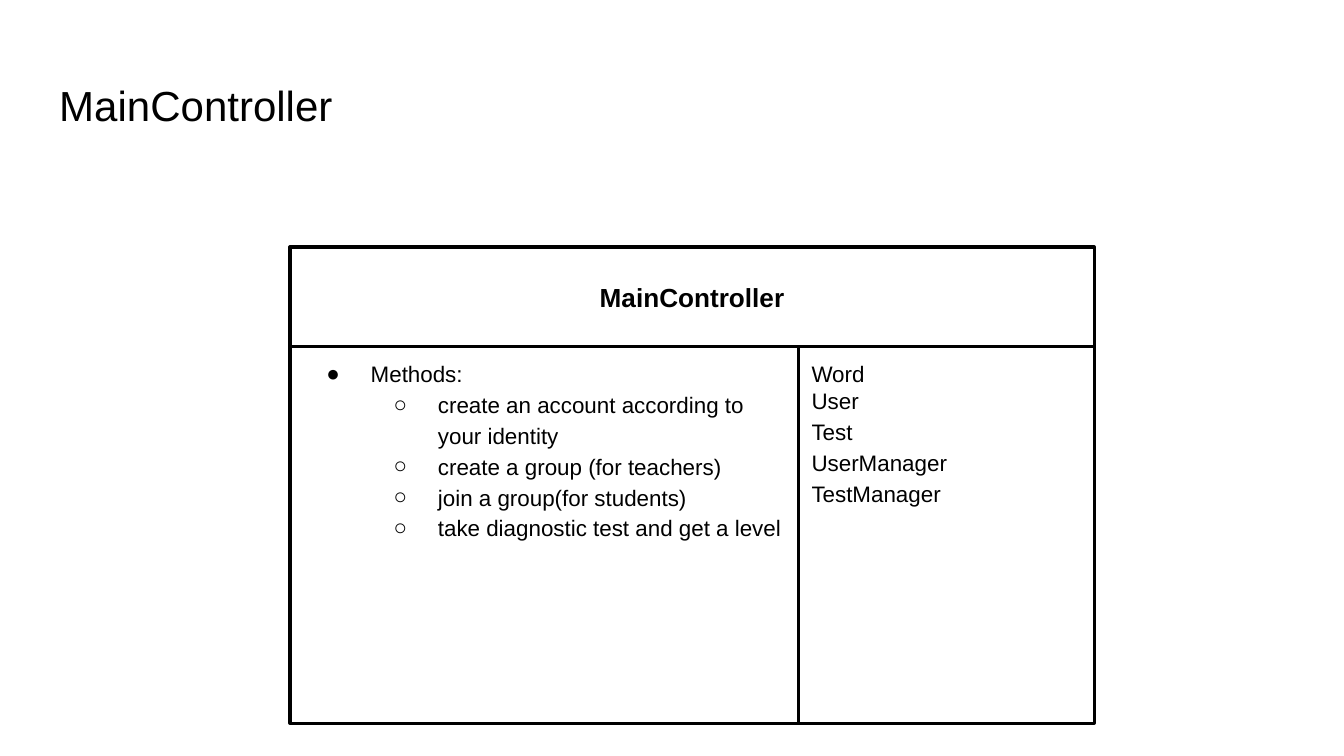
from lxml.etree import SubElement
from pptx import Presentation
from pptx.dml.color import RGBColor
from pptx.enum.shapes import MSO_SHAPE as Shape
from pptx.enum.text import MSO_ANCHOR as Anchor, PP_ALIGN as Align
from pptx.oxml.ns import qn
from pptx.util import Inches, Pt

COLORS = {"ink": "000000", "paper": "FFFFFF"}
FONT = "Arial"
METHODS = [
    ("Methods:", 0, None),
    ("create an account according to your identity", 1, 1.15),
    ("create a group (for teachers)", 1, 1.15),
    ("join a group(for students)", 1, 1.15),
    ("take diagnostic test and get a level", 1, 1.15),
]
COLLABORATORS = [
    ("Word", None, None),
    ("User", None, None),
    ("Test", None, 1.15),
    ("UserManager", None, 1.15),
    ("TestManager", None, 1.15),
]


def color(name):
    return RGBColor.from_string(COLORS[name])


def add_bullet(paragraph, level, size):
    paragraph.level = level
    props = paragraph._p.get_or_add_pPr()
    props.set("marL", str(Inches(0.5 * (level + 1))))
    props.set("indent", str(Inches(-0.33)))
    tint = SubElement(props, qn("a:buClr"))
    SubElement(tint, qn("a:srgbClr"), val=COLORS["ink"])
    SubElement(props, qn("a:buSzPts"), val=str(size * 100))
    SubElement(props, qn("a:buFont"), typeface=FONT)
    SubElement(props, qn("a:buChar"), char="●○"[level])


def write(frame, lines, size, bold=False, align=Align.LEFT, anchor=Anchor.TOP):
    frame.word_wrap = True
    frame.vertical_anchor = anchor
    frame.margin_left = frame.margin_right = Inches(0.1)
    frame.margin_top = frame.margin_bottom = Inches(0.1)
    frame.text = "\n".join(text for text, _, _ in lines)
    for paragraph, (_, level, spacing) in zip(frame.paragraphs, lines):
        paragraph.alignment = align
        if spacing:
            paragraph.line_spacing = spacing
        if level is not None:
            add_bullet(paragraph, level, size)
        font = paragraph.runs[0].font
        font.name, font.size, font.bold = FONT, Pt(size), bold
        font.color.rgb = color("ink")


def add_panel(shapes, left, top, width, height, weight=1.5):
    panel = shapes.add_shape(
        Shape.RECTANGLE, Inches(left), Inches(top), Inches(width), Inches(height))
    panel.shadow.inherit = False
    panel.fill.solid()
    panel.fill.fore_color.rgb = color("paper")
    panel.line.color.rgb = color("ink")
    panel.line.width = Pt(weight)
    return panel.text_frame


def add_class_card(slide, left, top, width, height, name, methods, collaborators):
    shapes = slide.shapes.add_group_shape().shapes
    header = 0.74
    split = 3.78
    body_top, body_height = top + header, height - header
    add_panel(shapes, left, top, width, height, weight=2.25)
    write(add_panel(shapes, left, top, width, header), [(name, None, None)], 14,
          bold=True, align=Align.CENTER, anchor=Anchor.MIDDLE)
    write(add_panel(shapes, left, body_top, split, body_height), methods, 12)
    write(add_panel(shapes, left + split, body_top, width - split, body_height),
          collaborators, 12)


def add_title(slide, left, top, width, height, text):
    title = slide.shapes.title
    title.left, title.top = Inches(left), Inches(top)
    title.width, title.height = Inches(width), Inches(height)
    write(title.text_frame, [(text, None, None)], 22.5)


def build():
    deck = Presentation()
    deck.slide_width = Inches(10)
    deck.slide_height = deck.slide_width * 9 // 16
    slide = deck.slides.add_slide(deck.slide_layouts[5])
    add_class_card(slide, 2.16, 1.84, 5.98, 3.54,
                   "MainController", METHODS, COLLABORATORS)
    add_title(slide, 0.34, 0.49, 9.32, 0.63, "MainController")
    deck.save("out.pptx")


build()
